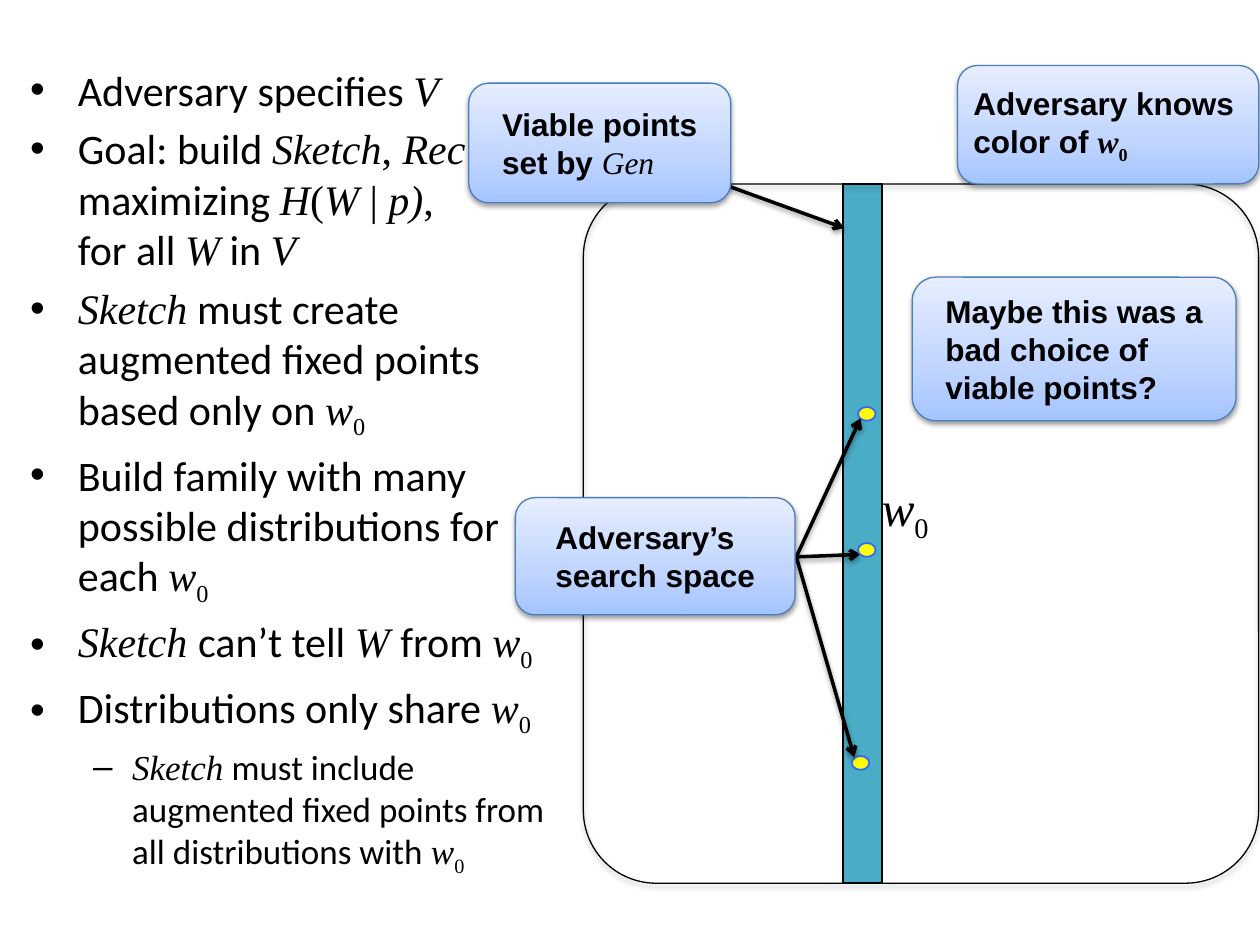
from copy import deepcopy
from dataclasses import dataclass

from lxml import etree
from pptx import Presentation
from pptx.dml.color import RGBColor
from pptx.enum.shapes import MSO_CONNECTOR, MSO_SHAPE
from pptx.enum.text import MSO_ANCHOR, MSO_AUTO_SIZE, PP_ALIGN
from pptx.oxml.ns import qn
from pptx.util import Inches, Pt

RECT, ROUND, OVAL = MSO_SHAPE.RECTANGLE, MSO_SHAPE.ROUNDED_RECTANGLE, MSO_SHAPE.OVAL
STRAIGHT = MSO_CONNECTOR.STRAIGHT
MIDDLE, LEFT = MSO_ANCHOR.MIDDLE, PP_ALIGN.LEFT
NO_FIT, GROW = MSO_AUTO_SIZE.NONE, MSO_AUTO_SIZE.SHAPE_TO_FIT_TEXT
COLUMNS, ROWS = 100, 75


@dataclass(frozen=True)
class Style:
    font: str
    bold: bool = False
    italic: bool = False
    baseline: int = 0


@dataclass(frozen=True)
class Theme:
    ink: str = "000000"
    band: str = "4BACC6"
    dot: str = "FFFF00"
    dot_edge: str = "3366FF"
    callout_edge: str = "4B7EBC"
    gradient: tuple = ((0, "A4C4FF"), (0.35, "BFD4FF"), (1, "E6EEFF"))
    body_size: int = 24
    detail_size: int = 20
    callout_size: int = 18
    label_size: int = 28


PLAIN = Style("Calibri")
LABEL = Style("Arial", bold=True)
MATH = Style("Times New Roman", italic=True)
ROMAN = Style("Times New Roman")
SUB = Style("Times New Roman", baseline=-25000)
BOLD_MATH = Style("Times New Roman", bold=True, italic=True)
BOLD_SUB = Style("Times New Roman", bold=True, baseline=-25000)
W_ZERO = (("w", MATH), ("0", SUB))

POINTS = (
    (("Adversary specifies ", PLAIN), ("V", MATH)),
    (("Goal: build ", PLAIN), ("Sketch", MATH), (",", ROMAN), (" Rec", MATH),
     (" maximizing ", PLAIN), ("H", MATH), ("(", ROMAN), ("W", MATH), (" | ", ROMAN),
     ("p)", MATH), (", \n", ROMAN), ("for all ", PLAIN), ("W", MATH), (" in ", PLAIN),
     ("V", MATH)),
    (("Sketch", MATH), (" must create augmented fixed points based only on ", PLAIN), *W_ZERO),
    (("Build family with many possible distributions for each ", PLAIN), *W_ZERO),
    (("Sketch ", MATH), ("can’t tell ", PLAIN), ("W ", MATH), ("from ", PLAIN), *W_ZERO),
    (("Distributions only share ", PLAIN), *W_ZERO),
)
DETAIL = (("Sketch", MATH),
          (" must include augmented fixed points from all distributions with ", PLAIN), *W_ZERO)


class Canvas:
    def __init__(self, deck, theme):
        self.deck, self.theme = deck, theme
        self.page = deck.slides.add_slide(deck.slide_layouts[6])

    def place(self, left, top, width, height):
        across, down = self.deck.slide_width / COLUMNS, self.deck.slide_height / ROWS
        return [round(value * unit) for value, unit in
                zip((left, top, width, height), (across, down, across, down))]

    def cast_shadow(self, element, opacity, distance):
        effects = element.spPr.find(qn("a:effectLst"))
        if effects is None:
            effects = etree.SubElement(element.spPr, qn("a:effectLst"))
        shadow = etree.SubElement(effects, qn("a:outerShdw"), blurRad=str(Pt(3.1)),
                                  dist=str(Pt(distance)), dir="5400000", rotWithShape="0")
        color = etree.SubElement(shadow, qn("a:srgbClr"), val=self.theme.ink)
        etree.SubElement(color, qn("a:alpha"), val=str(opacity * 1000))

    def shape(self, kind, area, fill, edge, weight):
        shape = self.page.shapes.add_shape(kind, *self.place(*area))
        shape.shadow.inherit = False
        if fill:
            shape.fill.solid()
            shape.fill.fore_color.rgb = RGBColor.from_string(fill)
        else:
            shape.fill.background()
        shape.line.color.rgb = RGBColor.from_string(edge)
        shape.line.width = Pt(weight)
        return shape

    def dot(self, left, top):
        self.shape(OVAL, (left, top, 1.4, 1.1), self.theme.dot, self.theme.dot_edge, 1)

    def frame(self, area):
        frame = self.shape(ROUND, area, None, self.theme.ink, 0.75)
        frame.adjustments[0] = 0.108
        self.cast_shadow(frame.element, 35, 1.8)

    def arrow(self, start, end):
        arrow = self.page.shapes.add_connector(STRAIGHT, *self.place(*start, *end))
        arrow.line.color.rgb = RGBColor.from_string(self.theme.ink)
        arrow.line.width = Pt(2)
        outline = arrow.element.spPr.find(qn("a:ln"))
        etree.SubElement(outline, qn("a:tailEnd"), type="arrow")
        self.cast_shadow(arrow.element, 38, 1.6)

    def add_spans(self, para, spans, size):
        para.alignment = LEFT
        for text, style in spans:
            for index, line in enumerate(text.split("\n")):
                if index:
                    para.add_line_break()
                if line:
                    span = para.add_run()
                    span.text = line
                    font = span.font
                    font.name, font.size = style.font, Pt(size)
                    font.bold, font.italic = style.bold, style.italic
                    font.color.rgb = RGBColor.from_string(self.theme.ink)
                    if style.baseline:
                        font._element.set("baseline", str(style.baseline))

    def callout(self, area, spans):
        box = self.shape(ROUND, area, None, self.theme.callout_edge, 0.75)
        box.fill.gradient()
        box.fill.gradient_angle = 90
        stops = box.element.spPr.find(".//" + qn("a:gsLst"))
        stops.append(deepcopy(stops[0]))
        for stop, (position, color) in zip(box.fill.gradient_stops, self.theme.gradient):
            stop.position = position
            stop.color.rgb = RGBColor.from_string(color)
        self.cast_shadow(box.element, 38, 1.6)
        frame = box.text_frame
        frame.word_wrap, frame.vertical_anchor = True, MIDDLE
        frame.margin_left = frame.margin_right = Inches(0.05)
        frame.margin_top = frame.margin_bottom = Inches(0.05)
        frame._txBody.bodyPr.set("anchorCtr", "1")
        self.add_spans(frame.paragraphs[0], spans, self.theme.callout_size)

    def text_box(self, area, wrap, fit):
        frame = self.page.shapes.add_textbox(*self.place(*area)).text_frame
        frame.word_wrap, frame.auto_size = wrap, fit
        return frame

    def label(self, area, spans):
        frame = self.text_box(area, False, GROW)
        self.add_spans(frame.paragraphs[0], spans, self.theme.label_size)

    def bullet(self, para, spans, size, mark, margin, hang):
        para.space_before = Pt(size * 0.2)
        self.add_spans(para, spans, size)
        properties = para._p.get_or_add_pPr()
        properties.set("marL", str(Inches(margin)))
        properties.set("indent", str(-Inches(hang)))
        etree.SubElement(properties, qn("a:buFont"), typeface="Arial")
        etree.SubElement(properties, qn("a:buChar"), char=mark)

    def outline(self, area, points, detail):
        frame = self.text_box(area, True, NO_FIT)
        for index, spans in enumerate(points):
            para = frame.add_paragraph() if index else frame.paragraphs[0]
            self.bullet(para, spans, self.theme.body_size, "•", 0.38, 0.38)
        para.level = 1
        para = frame.add_paragraph()
        para.level = 1
        self.bullet(para, detail, self.theme.detail_size, "–", 0.81, 0.31)


def main():
    deck = Presentation()
    deck.slide_width, deck.slide_height = Inches(10), Inches(7.5)
    theme = Theme()
    canvas = Canvas(deck, theme)
    canvas.shape(RECT, (66.9, 14.6, 3.1, 55.5), theme.band, theme.ink, 1)
    canvas.dot(68.1, 32.3)
    canvas.dot(67.6, 60)
    canvas.arrow((57.6, 14.7), (67, 18.1))
    canvas.frame((46.3, 14.6, 53.6, 55.5))
    canvas.callout((37.2, 6.6, 20.8, 9.5), (("Viable points set by ", LABEL), ("Gen", MATH)))
    canvas.callout((76, 5.2, 23.9, 9.4), (("Adversary knows \ncolor of ", LABEL),
                                          ("w", BOLD_MATH), ("0", BOLD_SUB)))
    canvas.outline((1.4, 4.6, 44.9, 67.3), POINTS, DETAIL)
    for target in ((67.8, 60.1), (68.3, 44), (68.3, 33.2)):
        canvas.arrow((63.2, 44.2), target)
    canvas.callout((72.4, 22, 25.7, 11.4),
                   (("Maybe this was a bad choice of viable points?", LABEL),))
    canvas.callout((40.9, 39.5, 22.2, 9.3), (("Adversary’s search space", LABEL),))
    canvas.dot(68.1, 43.1)
    canvas.label((69, 37.4, 6.4, 5.7), W_ZERO)
    deck.save("out.pptx")


if __name__ == "__main__":
    main()
